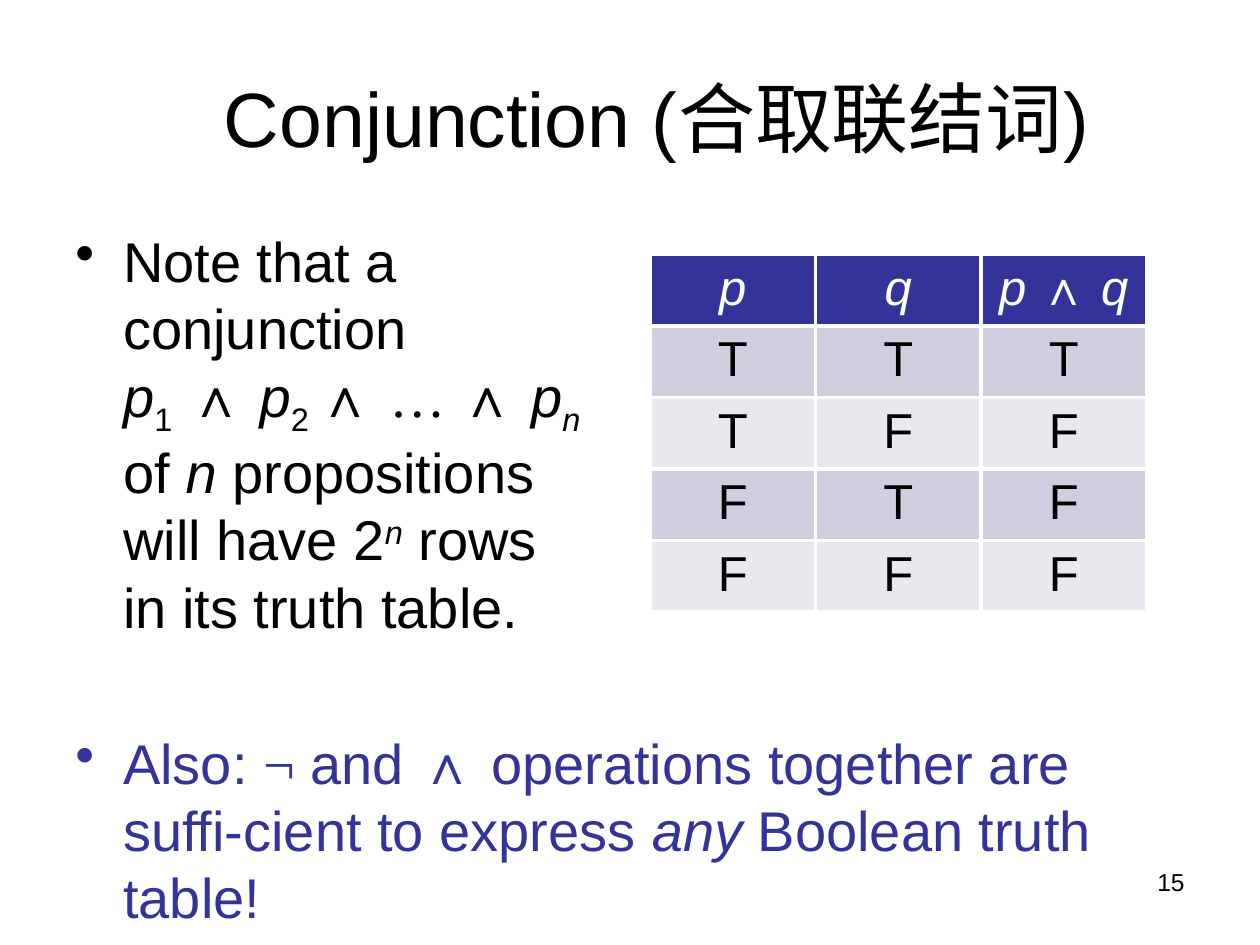
from pptx import Presentation
from pptx.dml.color import RGBColor
from pptx.enum.text import MSO_ANCHOR, PP_ALIGN
from pptx.oxml.xmlchemy import OxmlElement
from pptx.util import Inches, Pt

CENTER, RIGHT = PP_ALIGN.CENTER, PP_ALIGN.RIGHT
MIDDLE, TOP = MSO_ANCHOR.MIDDLE, MSO_ANCHOR.TOP
BLACK, WHITE, NAVY = "000000", "FFFFFF", "333399"
BAND_FILLS = ("CECEDE", "E8E8EF")
SERIF = "Times New Roman"
ITALIC = {"italic": True}
SUBSCRIPT = {"baseline": -25}

CONJUNCTION_NOTE = [
    ("Note that a\vconjunction\v", {}),
    ("p", ITALIC), ("1", SUBSCRIPT), (" ∧ ", {}),
    ("p", ITALIC), ("2 ", SUBSCRIPT), ("∧ ", {}),
    ("… ", {"name": SERIF}), ("∧ ", {}),
    ("p", ITALIC), ("n", ITALIC | SUBSCRIPT),
    ("\vof ", {}), ("n", ITALIC), (" propositions\vwill have 2", {}),
    ("n", ITALIC | {"baseline": 30}),
    (" rows\vin its truth table.", {}),
]
COMPLETENESS_NOTE = [
    ("Also: ", {}), ("¬", {"name": SERIF}),
    (" and ∧ operations together are suffi-cient to express ", {}),
    ("any", ITALIC), (" Boolean truth table!", {}),
]
HEADER = [
    [("p", ITALIC)],
    [("q", ITALIC)],
    [("p ", ITALIC), ("∧ ", {"name": SERIF}), ("q", ITALIC)],
]
TRUTH_ROWS = ("TTT", "TFF", "FTF", "FFF")


def color(hex_value):
    return RGBColor.from_string(hex_value)


def style_font(font, size, hex_value, name="Arial", italic=False):
    font.size = Pt(size)
    font.name = name
    font.italic = italic
    font.color.rgb = color(hex_value)


def write_pieces(paragraph, pieces, size, hex_value):
    """Append (text, format) pieces; a vertical tab is a line break."""
    for text, style in pieces:
        style = dict(style)
        baseline = style.pop("baseline", None)
        for index, line in enumerate(text.split("\v")):
            if index:
                paragraph.add_line_break()
            if not line:
                continue
            run = paragraph.add_run()
            run.text = line
            style_font(run.font, size, hex_value, **style)
            if baseline:
                run.font._element.set("baseline", str(baseline * 1000))


def add_text_frame(slide, box, anchor=TOP):
    text_frame = slide.shapes.add_textbox(*map(Inches, box)).text_frame
    text_frame.word_wrap = True
    text_frame.vertical_anchor = anchor
    return text_frame


def add_line(slide, box, text, size, alignment, anchor=TOP):
    text_frame = add_text_frame(slide, box, anchor)
    text_frame.text = text
    paragraph = text_frame.paragraphs[0]
    paragraph.alignment = alignment
    style_font(paragraph.runs[0].font, size, BLACK)


def add_bullet(paragraph):
    properties = paragraph._p.get_or_add_pPr()
    properties.set("marL", str(Inches(0.38)))
    properties.set("indent", str(-Inches(0.38)))
    bullet = OxmlElement("a:buChar")
    bullet.set("char", "•")
    properties.append(bullet)


def add_notes_on_conjunction(slide, box):
    text_frame = add_text_frame(slide, box)
    first = text_frame.paragraphs[0]
    second = text_frame.add_paragraph()
    for paragraph, pieces, hex_value in (
        (first, CONJUNCTION_NOTE, BLACK),
        (second, COMPLETENESS_NOTE, NAVY),
    ):
        add_bullet(paragraph)
        write_pieces(paragraph, pieces, 32, hex_value)
    second.space_before = Pt(51)


def set_borders(cell, hex_value, width):
    properties = cell._tc.get_or_add_tcPr()
    for index, side in enumerate(("lnL", "lnR", "lnT", "lnB")):
        line = OxmlElement(f"a:{side}")
        line.set("w", str(Pt(width)))
        fill = OxmlElement("a:solidFill")
        shade = OxmlElement("a:srgbClr")
        shade.set("val", hex_value)
        fill.append(shade)
        line.append(fill)
        properties.insert(index, line)


def add_truth_table(slide, box):
    rows = [HEADER] + [[[(value, {})] for value in row] for row in TRUTH_ROWS]
    table = slide.shapes.add_table(
        len(rows), len(HEADER), *map(Inches, box)
    ).table
    for row_index, row in enumerate(rows):
        is_header = row_index == 0
        fill = NAVY if is_header else BAND_FILLS[(row_index - 1) % 2]
        for column_index, pieces in enumerate(row):
            cell = table.cell(row_index, column_index)
            cell.fill.solid()
            cell.fill.fore_color.rgb = color(fill)
            set_borders(cell, WHITE, 2.25)
            paragraph = cell.text_frame.paragraphs[0]
            paragraph.alignment = CENTER
            write_pieces(paragraph, pieces, 28, WHITE if is_header else BLACK)


def main():
    presentation = Presentation()
    presentation.slide_width = Inches(10)
    presentation.slide_height = Inches(7.5)
    slide = presentation.slides.add_slide(presentation.slide_layouts[6])
    add_notes_on_conjunction(slide, (0.5, 1.75, 9, 4.95))
    add_line(slide, (0.5, 0.3, 9.42, 1.25), "Conjunction (合取联结词)", 44,
             CENTER, MIDDLE)
    add_truth_table(slide, (5.16, 2.02, 3.94, 2.83))
    add_line(slide, (7.17, 6.83, 2.33, 0.52), "15", 14, RIGHT)
    presentation.save("out.pptx")


if __name__ == "__main__":
    main()
